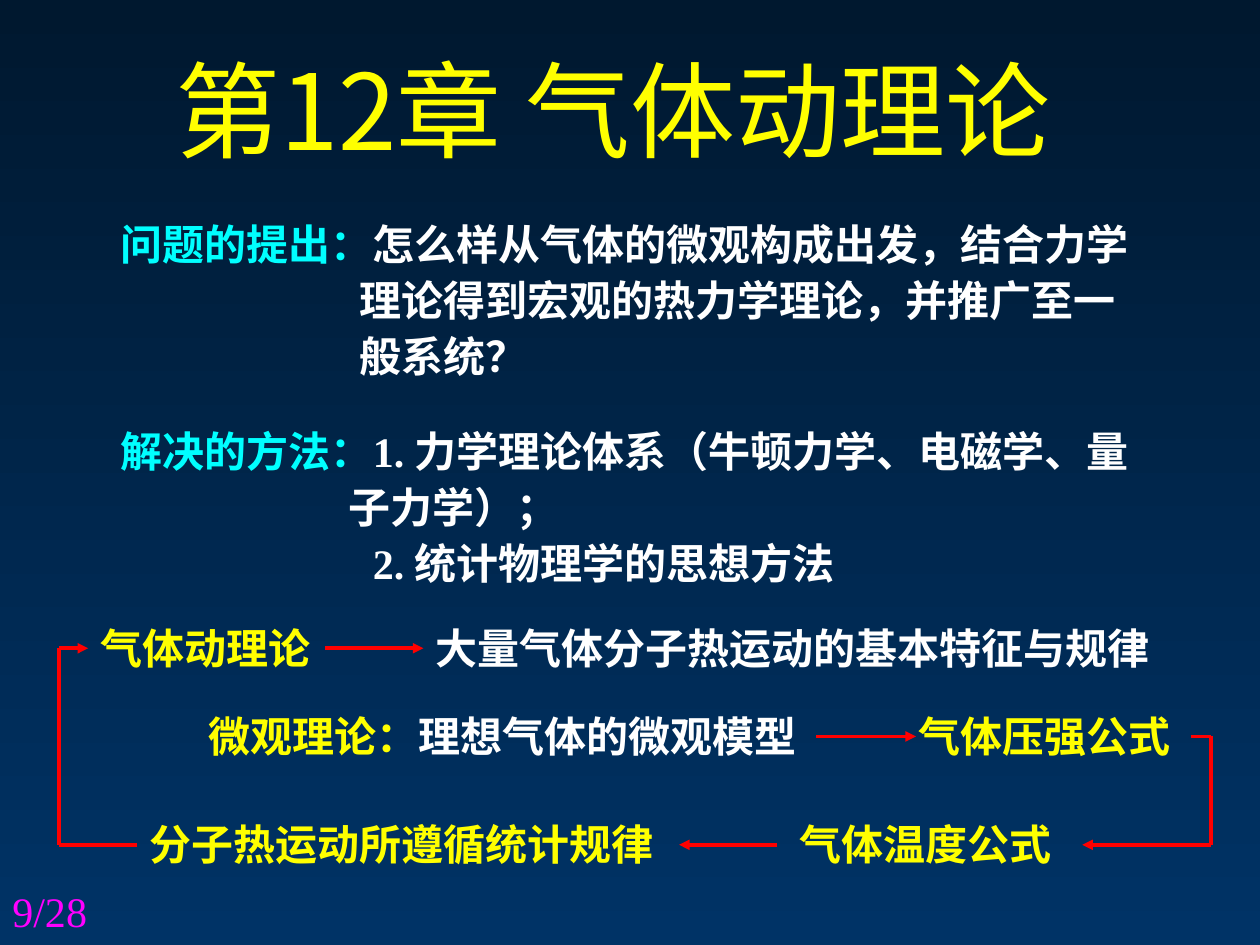
from lxml import etree
from pptx import Presentation
from pptx import util as u
from pptx.dml.color import RGBColor
from pptx.enum import shapes, text
from pptx.oxml.ns import qn

NAVY_TOP = RGBColor(0x00, 0x18, 0x2F)
NAVY_BOTTOM = RGBColor(0x00, 0x33, 0x66)
CYAN = RGBColor(0x00, 0xFF, 0xFF)
WHITE = RGBColor(0xFF, 0xFF, 0xFF)
YELLOW = RGBColor(0xFF, 0xFF, 0x00)
MAGENTA = RGBColor(0xFF, 0x00, 0xFF)
RED = RGBColor(0xFF, 0x00, 0x00)

SERIF = "Times New Roman"
SANS = "Noto Sans CJK SC"

COLUMNS, ROWS = 100, 75
LABEL_HEIGHT = 5.1
LEFT_SIDE = 1


class SlideBuilder:
    """Holds the style and the slide; lengths are grid columns and rows."""

    def __init__(self, presentation, layout):
        self.column = presentation.slide_width / COLUMNS
        self.row = presentation.slide_height / ROWS
        self.slide = presentation.slides.add_slide(layout)
        fill = self.slide.background.fill
        fill.gradient()
        fill.gradient_angle = 270
        for stop, color in zip(fill.gradient_stops, (NAVY_TOP, NAVY_BOTTOM)):
            stop.color.rgb = color

    def point(self, x, y):
        return round(x * self.column), round(y * self.row)

    def place(self, shape, left, top, width, height):
        shape.left, shape.top = self.point(left, top)
        shape.width, shape.height = self.point(width, height)
        frame = shape.text_frame
        frame.word_wrap = True
        frame.auto_size = text.MSO_AUTO_SIZE.NONE
        return frame

    def add_runs(self, paragraph, pieces, size=24, bold=True, latin=SERIF):
        """Add (wording, colour) pieces as runs."""
        paragraph.alignment = text.PP_ALIGN.LEFT
        for wording, color in pieces:
            run = paragraph.add_run()
            run.text = wording
            run.font.size = u.Pt(size)
            run.font.bold = bold
            run.font.name = latin
            run.font.color.rgb = color
            east_asian = etree.SubElement(run._r.get_or_add_rPr(), qn("a:ea"))
            east_asian.set("typeface", SANS)

    def title(self, wording, *box):
        frame = self.place(self.slide.shapes.title, *box)
        frame.vertical_anchor = text.MSO_ANCHOR.MIDDLE
        self.add_runs(frame.paragraphs[0], [(wording, YELLOW)], 60, False, SANS)

    def body(self, index, lines, *box):
        """Fill a body placeholder with (indent in columns, pieces) lines."""
        frame = self.place(self.slide.placeholders[index], *box)
        for number, (indent, pieces) in enumerate(lines):
            paragraph = frame.add_paragraph() if number else frame.paragraphs[0]
            properties = paragraph._p.get_or_add_pPr()
            properties.set("marL", str(round(indent * self.column)))
            properties.set("indent", "0")
            etree.SubElement(properties, qn("a:buNone"))
            paragraph.line_spacing = u.Pt(32)
            paragraph.space_before = u.Pt(0)
            self.add_runs(paragraph, pieces)

    def label(self, pieces, left, top, width, height=LABEL_HEIGHT, bold=True):
        shape = self.slide.shapes.add_textbox(0, 0, 0, 0)
        frame = self.place(shape, left, top, width, height)
        self.add_runs(frame.paragraphs[0], pieces, bold=bold)
        return shape

    def arrow(self, *points, start=None, end=None):
        """Draw straight segments through the points, with a head on the last."""
        parent = self.slide.shapes
        if len(points) > 2:
            parent = parent.add_group_shape().shapes
        segments = []
        for begin, finish in zip(points, points[1:]):
            line = parent.add_connector(
                shapes.MSO_CONNECTOR.STRAIGHT, *self.point(*begin), *self.point(*finish))
            line.line.color.rgb = RED
            line.line.width = u.Pt(2)
            etree.SubElement(line._element.spPr, qn("a:effectLst"))
            segments.append(line)
        outline = segments[-1]._element.spPr.find(qn("a:ln"))
        etree.SubElement(outline, qn("a:tailEnd")).set("type", "triangle")
        if start is not None:
            segments[0].begin_connect(start, LEFT_SIDE)
        if end is not None:
            segments[-1].end_connect(end, LEFT_SIDE)


def main():
    presentation = Presentation()
    presentation.slide_width, presentation.slide_height = u.Inches(10), u.Inches(7.5)
    two_content = presentation.slide_layouts[3]
    builder = SlideBuilder(presentation, two_content)

    builder.title("第12章 气体动理论", 12.9, 3.1, 85.5, 11.1)
    builder.body(1, [
        (0, [("问题的提出：", CYAN), ("怎么样从气体的微观构成出发，结合力学", WHITE)]),
        (18.9, [("理论得到宏观的热力学理论，并推广至一", WHITE)]),
        (18.9, [("般系统？", WHITE)]),
    ], 8.6, 16.4, 85.2, 14.1)
    builder.body(2, [
        (0, [("解决的方法：", CYAN), ("1. 力学理论体系（牛顿力学、电磁学、量", WHITE)]),
        (18.1, [("子力学）；", WHITE)]),
        (20, [("2. 统计物理学的思想方法", WHITE)]),
    ], 8.6, 32.8, 85.2, 14.1)
    builder.label([("9/28", MAGENTA)], 0, 69.8, 23.3, bold=False)

    tops = (48.9, 55.9, 64.5)
    upper, middle, lower = (top + LABEL_HEIGHT / 2 for top in tops)
    theory = builder.label([("气体动理论", YELLOW)], 7, tops[0], 20.3)
    features = builder.label(
        [("大量气体分子热运动的基本特征与规律", WHITE)], 33.6, tops[0], 64.8)
    builder.label([("微观理论：", YELLOW), ("理想气体的微观模型", WHITE)],
                  15.6, tops[1], 52.3)
    builder.label([("气体压强公式", YELLOW)], 71.9, tops[1], 23.4)
    builder.label([("气体温度公式", YELLOW)], 62.5, tops[2], 25)
    statistics = builder.label([("分子热运动所遵循统计规律", YELLOW)],
                               10.9, tops[2], 52.3)

    builder.arrow((25.8, upper), (33.6, upper), end=features)
    builder.arrow((64.8, middle), (72.7, middle))
    builder.arrow((94.5, middle), (96.1, middle), (96.1, lower), (85.9, lower))
    builder.arrow((61.7, lower), (53.9, lower))
    builder.arrow((10.9, lower), (4.7, lower), (4.7, upper), (7, upper),
                  start=statistics, end=theory)

    presentation.save("out.pptx")


if __name__ == "__main__":
    main()
